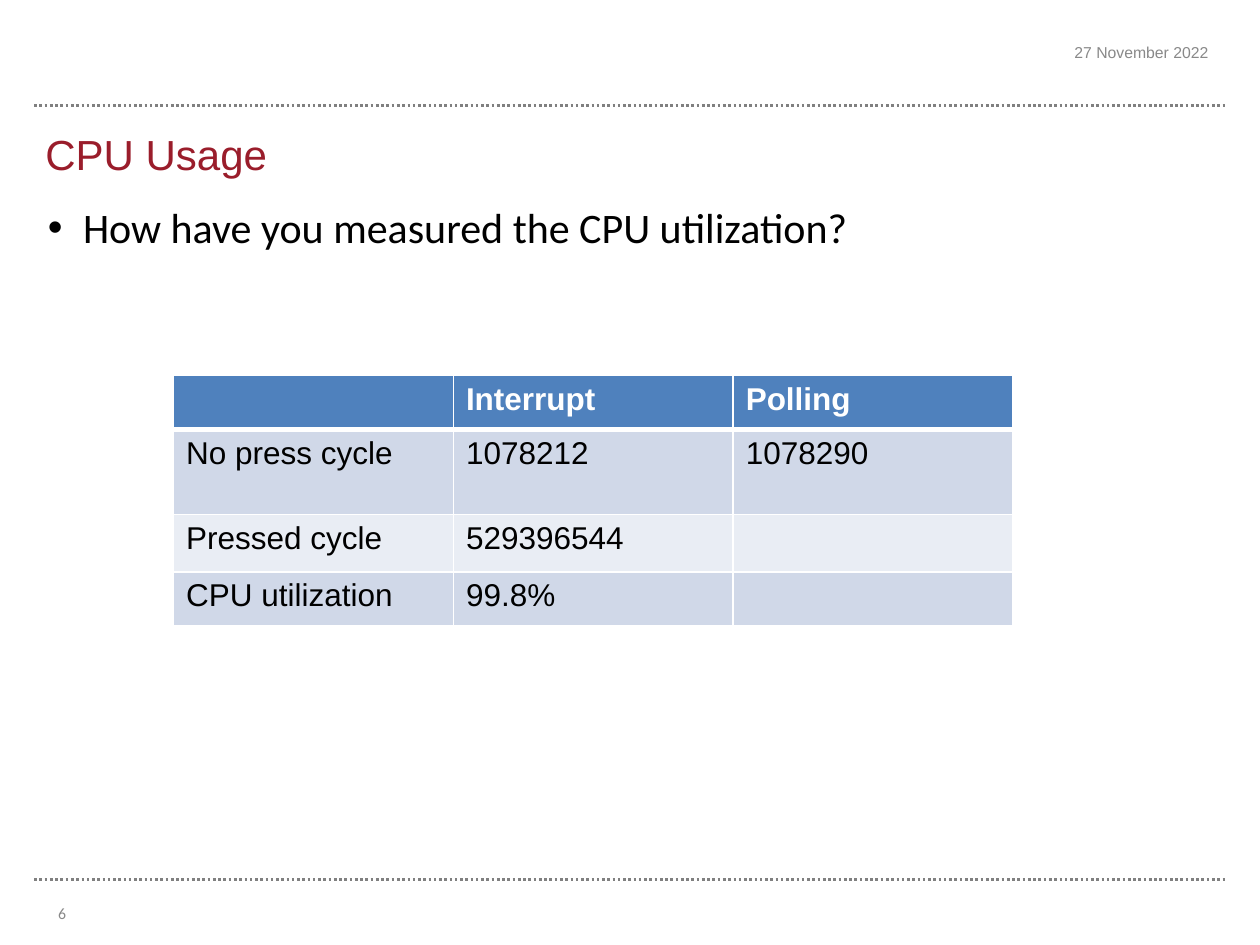
from typing import NamedTuple
from lxml import etree
from pptx import Presentation
from pptx.dml.color import RGBColor
from pptx.enum import dml, shapes, text
from pptx.oxml import ns
from pptx.util import Cm, Pt

RED = RGBColor(0x9A, 0x1D, 0x2B)
BLACK = RGBColor(0, 0, 0)
WHITE = RGBColor(0xFF, 0xFF, 0xFF)
GREY = RGBColor(0x89, 0x89, 0x89)
RULE = RGBColor(0x80, 0x80, 0x80)
BLUE = RGBColor(0x4F, 0x81, 0xBD)
BANDS = (RGBColor(0xE9, 0xED, 0xF4), RGBColor(0xD0, 0xD8, 0xE8))
LEFT, MID = text.PP_ALIGN.LEFT, text.PP_ALIGN.CENTER
RIGHT = text.PP_ALIGN.RIGHT
TOP, CENTRE = text.MSO_ANCHOR.TOP, text.MSO_ANCHOR.MIDDLE
BASE = text.MSO_ANCHOR.BOTTOM


class Box(NamedTuple):
    x: float
    y: float
    w: float
    h: float


class Style(NamedTuple):
    font: str
    size: float
    ink: RGBColor
    align: text.PP_ALIGN = LEFT
    bold: bool = False


class Note(NamedTuple):
    words: str
    box: Box
    style: Style
    anchor: text.MSO_ANCHOR


def write(frame, words: str, style: Style) -> None:
    para = frame.paragraphs[0]
    para.alignment = style.align
    run = para.add_run()
    run.text = words
    font = run.font
    font.name, font.size, font.bold = style.font, Pt(style.size), style.bold
    font.color.rgb = style.ink


def fit(shape, note: Note) -> None:
    box = note.box
    shape.left, shape.top = Cm(box.x), Cm(box.y)
    shape.width, shape.height = Cm(box.w), Cm(box.h)
    frame = shape.text_frame
    frame.word_wrap = True
    frame.auto_size = text.MSO_AUTO_SIZE.NONE
    frame.vertical_anchor = note.anchor
    write(frame, note.words, note.style)


def rule(y: float) -> None:
    line = slide.shapes.add_connector(
        shapes.MSO_CONNECTOR.STRAIGHT, Cm(0.69), Cm(y), Cm(24.71), Cm(y))
    line.line.color.rgb = RULE
    line.line.width = Pt(1.5)
    line.line.dash_style = dml.MSO_LINE.ROUND_DOT
    etree.SubElement(line._element.spPr, ns.qn("a:effectLst"))


def edge(cell, sides: dict[str, float]) -> None:
    props = cell._tc.get_or_add_tcPr()
    for spot, (side, width) in enumerate(sides.items()):
        line = etree.Element(ns.qn(f"a:ln{side}"), w=str(Pt(width)))
        fill = etree.SubElement(line, ns.qn("a:solidFill"))
        etree.SubElement(fill, ns.qn("a:srgbClr"), val=str(WHITE))
        props.insert(spot, line)


deck = Presentation()
deck.slide_width, deck.slide_height = Cm(25.4), Cm(19.05)
slide = deck.slides.add_slide(deck.slide_layouts[1])

# Dotted rules
for y in (2.13, 17.73):
    rule(y)

# Title and bullet
title, body = slide.placeholders
fit(title, Note("CPU Usage", Box(0.66, 2.13, 24.03, 1.6),
                Style("Arial", 24, RED), BASE))
fit(body, Note("How have you measured the CPU utilization?",
               Box(0.71, 3.94, 24, 13.79), Style("Calibri", 24, BLACK), TOP))
props = body.text_frame.paragraphs[0]._p.get_or_add_pPr()
props.set("marL", str(Cm(0.71)))
props.set("indent", str(-Cm(0.71)))
etree.SubElement(props, ns.qn("a:buFont"), typeface="Arial")
etree.SubElement(props, ns.qn("a:buChar"), char="\u2022")

# Page number and date
for note in (
    Note("6", Box(0.25, 17.91, 2.01, 1.02),
         Style("Calibri", 9, GREY, MID), CENTRE),
    Note("27 November 2022", Box(20.09, 0.74, 4.52, 0.61),
         Style("Arial", 9, GREY, RIGHT), TOP),
):
    fit(slide.shapes.add_textbox(0, 0, 0, 0), note)

# Results table
ROWS = (
    (1.09, ("", "Interrupt", "Polling")),
    (1.71, ("No press cycle", "1078212", "1078290")),
    (1.16, ("Pressed cycle", "529396544", "")),
    (1.09, ("CPU utilization", "99.8%", "")),
)
HEAD = Style("Arial", 18, WHITE, bold=True)
CELL = Style("Arial", 18, BLACK)
grid = slide.shapes.add_table(
    len(ROWS), 3, Cm(3.5), Cm(7.57), Cm(16.93),
    Cm(sum(high for high, _ in ROWS))).table
for col in grid.columns:
    col.width = Cm(5.64)
for r, (high, words) in enumerate(ROWS):
    grid.rows[r].height = Cm(high)
    for c, word in enumerate(words):
        cell = grid.cell(r, c)
        cell.fill.solid()
        cell.fill.fore_color.rgb = BANDS[r % 2] if r else BLUE
        edge(cell, {"L": 1, "R": 1, "T": 3 if r == 1 else 1,
                    "B": 1 if r else 3})
        if word:
            write(cell.text_frame, word, CELL if r else HEAD)

deck.save("out.pptx")
